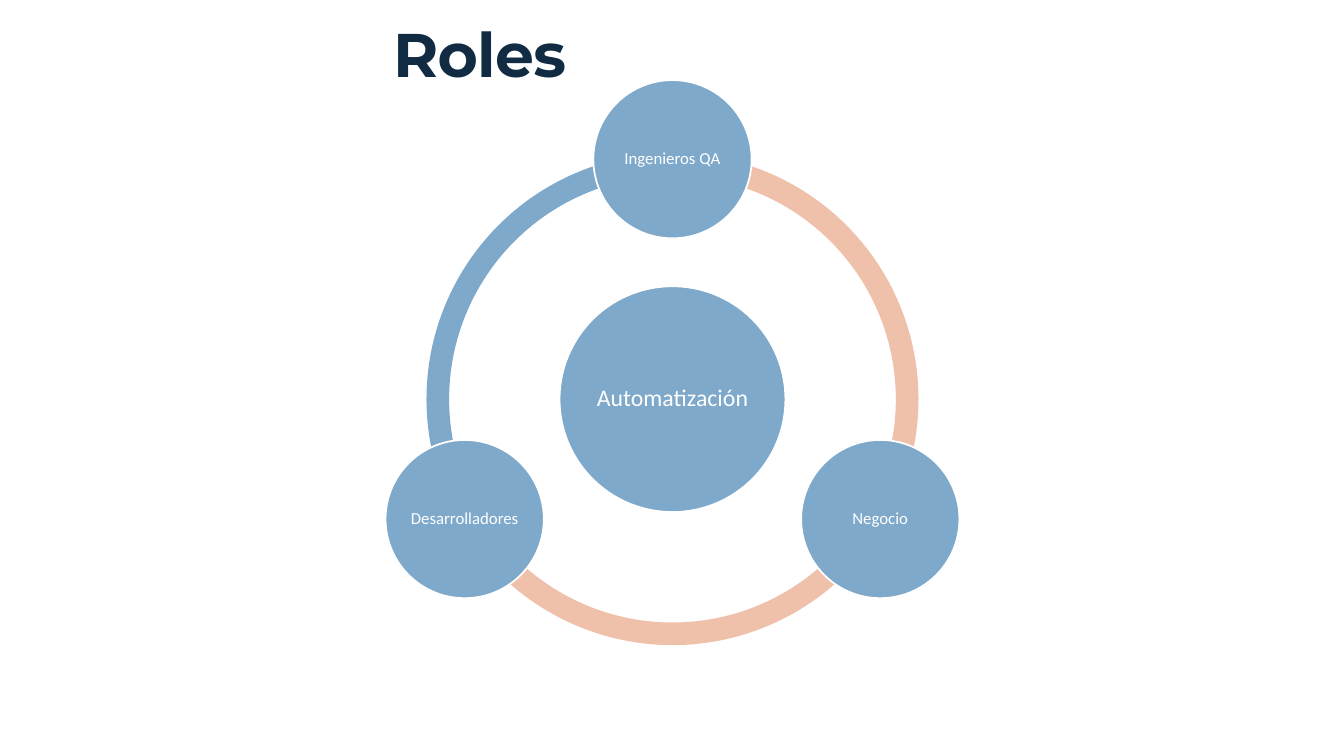
from math import cos, radians, sin

from pptx import Presentation
from pptx.dml.color import RGBColor
from pptx.enum.shapes import MSO_SHAPE
from pptx.enum.text import MSO_ANCHOR, PP_ALIGN
from pptx.util import Inches, Pt

BLUE, PEACH, NAVY, WHITE = "7EA9CA", "EFC1AB", "102B42", "FFFFFF"
CENTER_X, CENTER_Y = 6.67, 3.96
ORBIT_RADIUS = 2.38
RING_SIZE = 4.88


def color(hex_string):
    return RGBColor.from_string(hex_string)


def add_centered(kind, x, y, size, fill):
    shape = slide.shapes.add_shape(
        kind, Inches(x - size / 2), Inches(y - size / 2), Inches(size), Inches(size))
    shape.shadow.inherit = False
    shape.fill.solid()
    shape.fill.fore_color.rgb = color(fill)
    shape.line.fill.background()
    return shape


presentation = Presentation()
presentation.slide_width = Inches(13.33)
presentation.slide_height = Inches(7.5)
slide = presentation.slides.add_slide(presentation.slide_layouts[6])

# Title
title = slide.shapes.add_textbox(Inches(3.8), Inches(0.28), Inches(8.93), Inches(0.66))
title.text_frame.word_wrap = True
title.text_frame.vertical_anchor = MSO_ANCHOR.BOTTOM
paragraph = title.text_frame.paragraphs[0]
paragraph.line_spacing = 0.85
run = paragraph.add_run()
run.text = "Roles"
run.font.size = Pt(44)
run.font.name = "Montserrat"
run.font.bold = True
run.font.color.rgb = color(NAVY)
run._r.get_or_add_rPr().set("spc", "-50")

# Ring of three arcs: start and end in units of 100000/60000 degrees
for start, end, fill in [(90, 162, BLUE), (18, 90, PEACH), (162, 18, PEACH)]:
    arc = add_centered(MSO_SHAPE.BLOCK_ARC, CENTER_X, CENTER_Y, RING_SIZE, fill)
    arc.adjustments[0] = start
    arc.adjustments[1] = end
    arc.adjustments[2] = 0.046

# Hub, then roles on the orbit: label, orbit radius, angle, diameter, text size
circles = [
    ("Automatización", 0, 0, 2.24, 17),
    ("Ingenieros QA", ORBIT_RADIUS, -90, 1.57, 12),
    ("Negocio", ORBIT_RADIUS, 30, 1.57, 12),
    ("Desarrolladores", ORBIT_RADIUS, 150, 1.57, 12),
]
for label, radius, angle, diameter, text_size in circles:
    x = CENTER_X + radius * cos(radians(angle))
    y = CENTER_Y + radius * sin(radians(angle))
    circle = add_centered(MSO_SHAPE.OVAL, x, y, diameter, BLUE)
    circle.line.color.rgb = color(WHITE)
    circle.line.width = Pt(1.25)
    frame = circle.text_frame
    frame.word_wrap = True
    frame.vertical_anchor = MSO_ANCHOR.MIDDLE
    frame.margin_left = frame.margin_right = Inches(0.02)
    frame.margin_top = frame.margin_bottom = Inches(0.02)
    paragraph = frame.paragraphs[0]
    paragraph.alignment = PP_ALIGN.CENTER
    paragraph.line_spacing = 0.9
    run = paragraph.add_run()
    run.text = label
    run.font.size = Pt(text_size)
    run.font.name = "Calibri"
    run.font.color.rgb = color(WHITE)

presentation.save("out.pptx")
